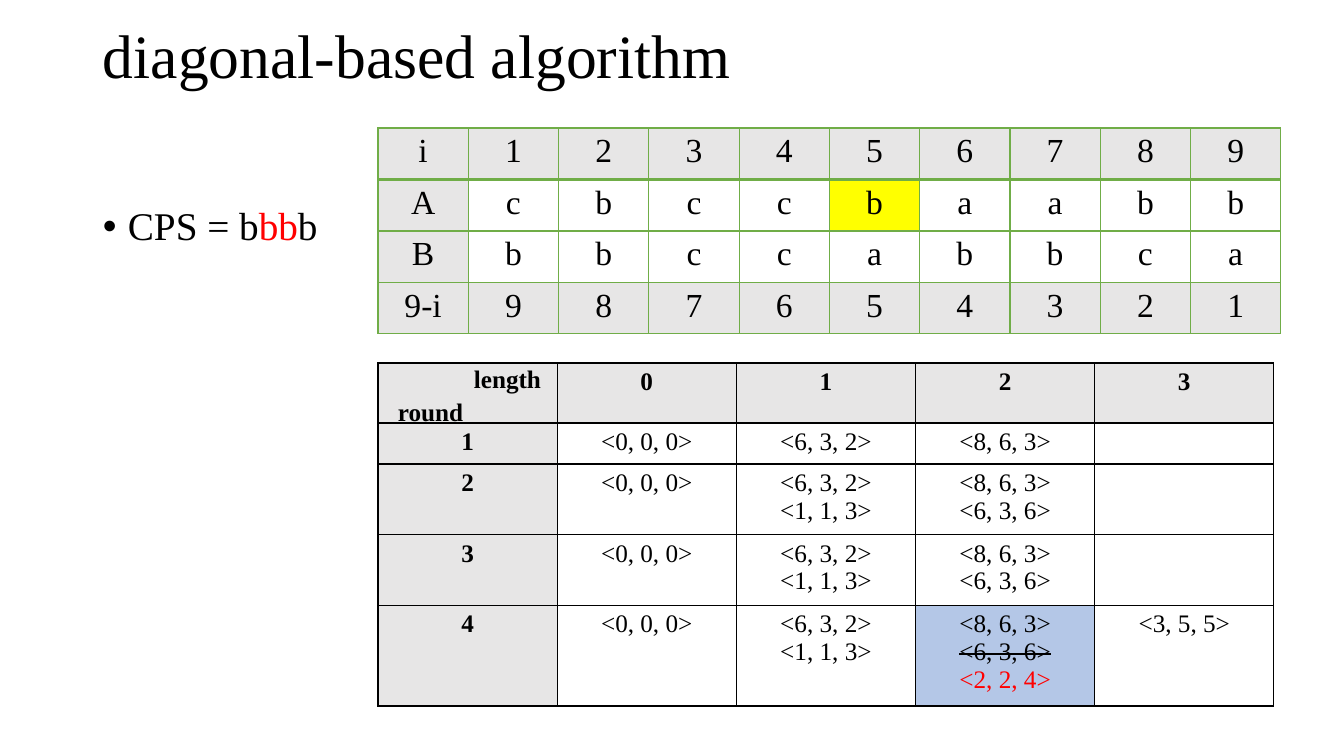
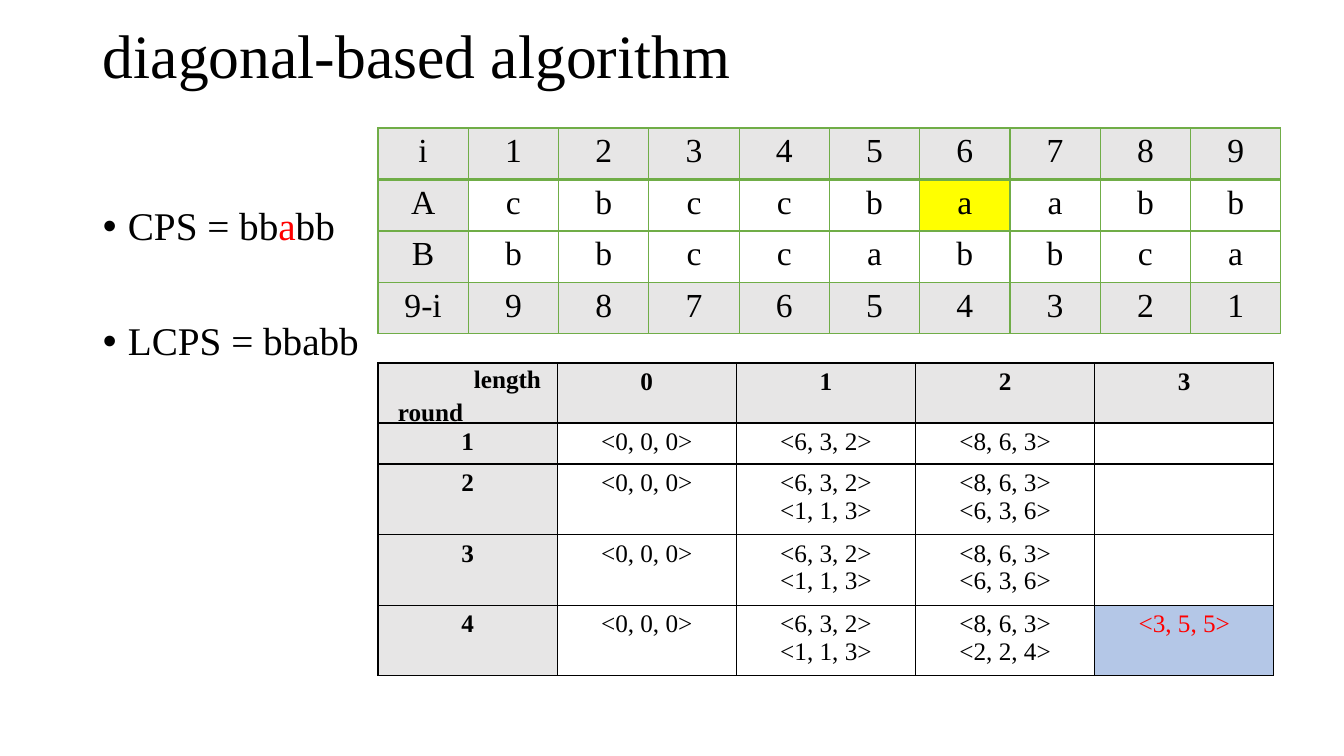
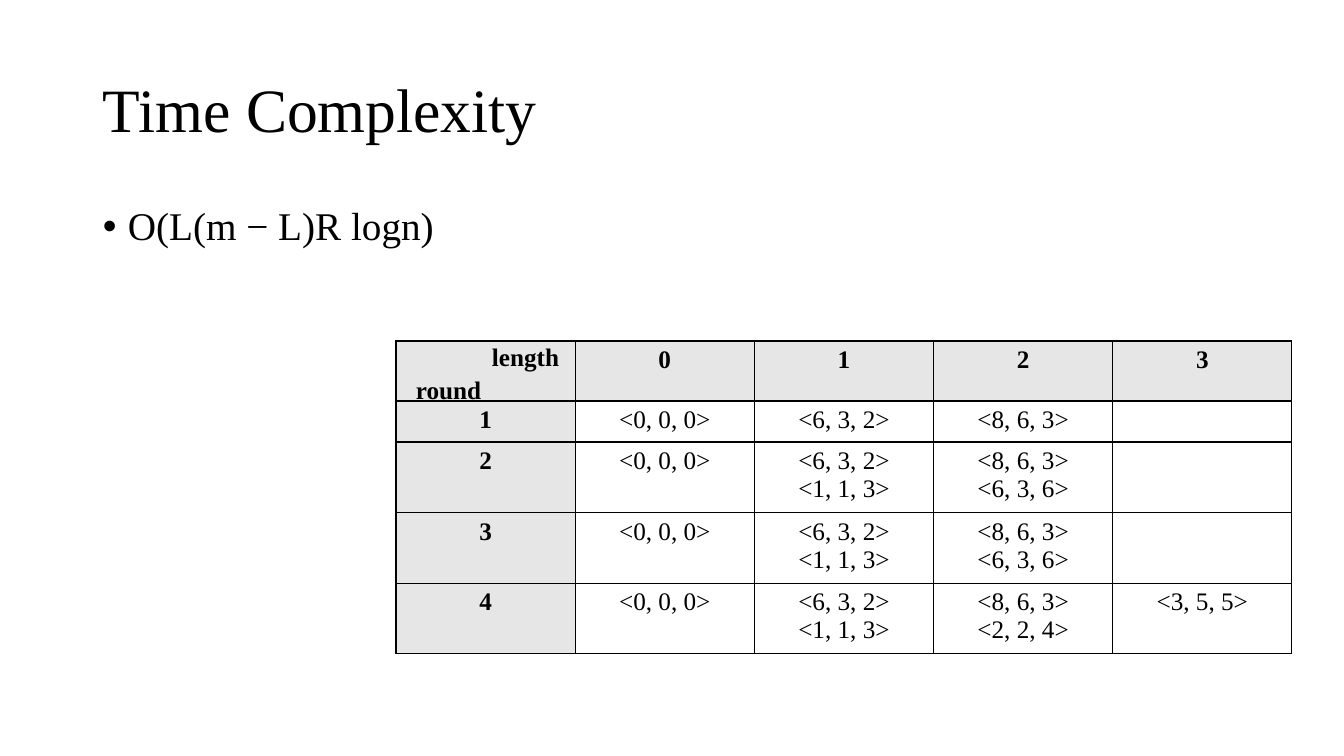
from pptx import Presentation
from pptx.dml.color import RGBColor
from pptx.enum.text import MSO_ANCHOR as Anchor, PP_ALIGN as Align
from pptx.oxml.xmlchemy import OxmlElement as Element
from pptx.util import Emu, Pt

EMU_PER_PX = 914400 / 100.8
FONT = "Times New Roman"
COLORS = {
    "text": "000000", "red": "FF0000", "white": "FFFFFF", "header": "E7E6E6",
    "current": "FFFF00", "changed": "B4C7E7", "green": "70AD47",
}

# A line of text is a list of (text, style) spans; style is None, "red" or "strike".
SEQUENCES = [
    ["i", *"123456789"],
    ["A", *"cbccbaabb"],
    ["B", *"bbccabbca"],
    ["9-i", *"987654321"],
]
ORIGIN, FIRST, SECOND = "<0, 0, 0>", "<6, 3, 2>", "<1, 1, 3>"
TOP, OLD, NEW, LAST = "<8, 6, 3>", "<6, 3, 6>", "<2, 2, 4>", "<3, 5, 5>"
EARLY_ROUNDS = [
    [[ORIGIN], [FIRST], [TOP], []],
    [[ORIGIN], [FIRST, SECOND], [TOP, OLD], []],
    [[ORIGIN], [FIRST, SECOND], [TOP, OLD], []],
]
LAST_ROUND = [[ORIGIN], [FIRST, SECOND]]

SLIDES = [
    {
        "title": "diagonal-based algorithm", "title_box": (93, 5, 1159, 108),
        "bullets": [[("CPS = b", None), ("bb", "red"), ("b", None)]],
        "current": 5, "rounds_at": (378, 363), "changed": (4, 3),
        "last_round": LAST_ROUND + [[TOP, (OLD, "strike"), (NEW, "red")], [LAST]],
    },
    {
        "title": "diagonal-based algorithm", "title_box": (93, 5, 1159, 108),
        "bullets": [[("CPS = bb", None), ("a", "red"), ("bb", None)],
                    [("LCPS = bbabb", None)]],
        "current": 6, "rounds_at": (378, 363), "changed": (4, 4),
        "last_round": LAST_ROUND + [[TOP, NEW], [(LAST, "red")]],
    },
    {
        "title": "Time Complexity", "title_box": (93, 40, 1215, 146),
        "bullets": [[("O(L(m − L)R logn)", None)]],
        "current": None, "rounds_at": (396, 341), "changed": None,
        "last_round": LAST_ROUND + [[TOP, NEW], [LAST]],
    },
]


def px(length):
    return Emu(round(length * EMU_PER_PX))


def rgb(name):
    return RGBColor.from_string(COLORS[name])


def write(para, spans, size, bold=False):
    for text, style in spans:
        span = para.add_run()
        span.text = text
        font = span.font
        font.name, font.size, font.bold = FONT, Pt(size), bold
        font.color.rgb = rgb("red" if style == "red" else "text")
        if style == "strike":
            span._r.get_or_add_rPr().set("strike", "sngStrike")


def next_para(frame, index):
    return frame.paragraphs[0] if index == 0 else frame.add_paragraph()


def add_frame(page, box):
    frame = page.shapes.add_textbox(*map(px, box)).text_frame
    frame.word_wrap = True
    return frame


def indent(para, left, first=0):
    properties = para._p.get_or_add_pPr()
    properties.set("marL", str(px(left)))
    properties.set("indent", str(px(first)))
    return properties


def add_title(page, title, box):
    frame = add_frame(page, box)
    frame.vertical_anchor = Anchor.MIDDLE
    para = frame.paragraphs[0]
    para.line_spacing = 0.9
    write(para, [(title, None)], 44)


def add_bullets(page, bullets):
    frame = add_frame(page, (93, 202, 1159, 480))
    for index, spans in enumerate(bullets):
        para = next_para(frame, index)
        properties = indent(para, 25, -25)
        for tag, key, value in (("a:buFont", "typeface", "Arial"), ("a:buChar", "char", "•")):
            mark = Element(tag)
            mark.set(key, value)
            properties.append(mark)
        para.line_spacing = 0.9
        if index:
            para.space_before = Pt(52)
        write(para, spans, 28)


def set_borders(cell, color, widths):
    """Draw the left, right, top and bottom edges with widths in points."""
    properties = cell._tc.get_or_add_tcPr()
    for position, (side, width) in enumerate(zip("LRTB", widths)):
        line = Element(f"a:ln{side}")
        line.set("w", str(Pt(width)))
        fill, shade = Element("a:solidFill"), Element("a:srgbClr")
        shade.set("val", COLORS[color])
        fill.append(shade)
        line.append(fill)
        properties.insert(position, line)


def add_grid(page, at, width, heights, column_count):
    shape = page.shapes.add_table(len(heights), column_count, *map(px, (*at, width, sum(heights))))
    table = shape.table
    table.first_row = table.horz_banding = False
    for column in table.columns:
        column.width = px(width / column_count)
    for row, height in zip(table.rows, heights):
        row.height = px(height)
    return table


def fill_cell(cell, lines, size, bold, fill):
    cell.fill.solid()
    cell.fill.fore_color.rgb = rgb(fill)
    for index, line in enumerate(lines):
        para = next_para(cell.text_frame, index)
        para.alignment = Align.CENTER
        write(para, [(line, None) if isinstance(line, str) else line], size, bold)


def add_sequences(page, current):
    last = len(SEQUENCES) - 1
    table = add_grid(page, (378, 128), 903, [51.5] * len(SEQUENCES), len(SEQUENCES[0]))
    for r, values in enumerate(SEQUENCES):
        for c, value in enumerate(values):
            fill = "header" if r in (0, last) or c == 0 else "white"
            if (r, c) == (1, current):
                fill = "current"
            cell = table.cell(r, c)
            fill_cell(cell, [value], 24, False, fill)
            set_borders(cell, "green", (1, 1, 2 if r == 1 else 1, 2 if r == 0 else 1))


def add_rounds(page, at, last_round, changed):
    rounds = EARLY_ROUNDS + [last_round]
    rows = [[[], *([str(n)] for n in range(4))]]
    rows += [[[str(n)], *cells] for n, cells in enumerate(rounds, 1)]
    heights = [60] + [max(41, 10 + 28 * max(map(len, cells))) for cells in rounds]
    table = add_grid(page, at, 896, heights, len(rows[0]))
    for r, cells in enumerate(rows):
        for c, lines in enumerate(cells):
            heading = r == 0 or c == 0
            fill = "changed" if (r, c) == changed else "header" if heading else "white"
            cell = table.cell(r, c)
            fill_cell(cell, lines, 18, heading, fill)
            set_borders(cell, "text", (1, 1, 1, 1))

    left, top = at
    frame = add_frame(page, (left + 10, top - 5, 187, 72))
    for index, label in enumerate(("length", "round")):
        para = next_para(frame, index)
        if index == 0:
            indent(para, 76)
        else:
            para.space_before = Pt(2.5)
        write(para, [(label, None)], 18, True)


def main():
    deck = Presentation()
    deck.slide_width, deck.slide_height = px(1344), px(756)
    for content in SLIDES:
        page = deck.slides.add_slide(deck.slide_layouts[6])
        add_title(page, content["title"], content["title_box"])
        add_bullets(page, content["bullets"])
        if content["current"]:
            add_sequences(page, content["current"])
        add_rounds(page, content["rounds_at"], content["last_round"], content["changed"])
    deck.save("out.pptx")


if __name__ == "__main__":
    main()
